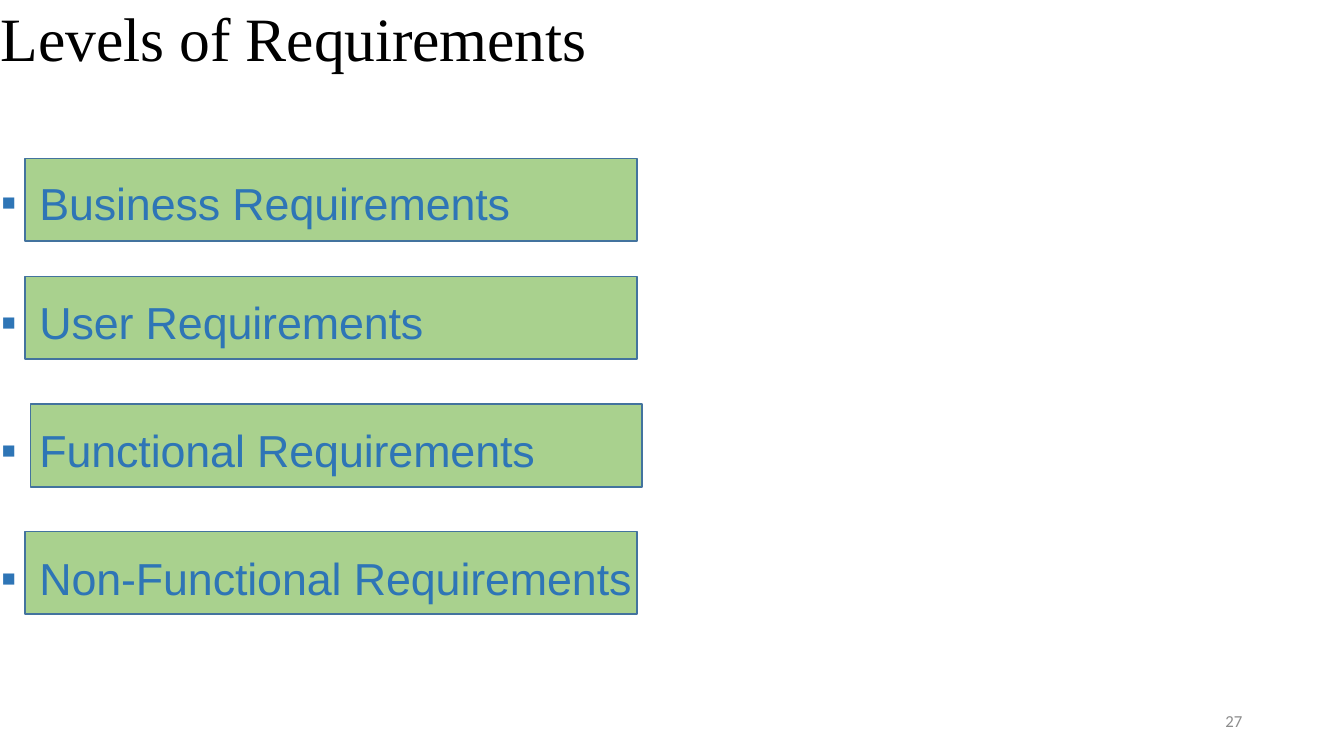
from lxml import etree
from pptx import Presentation
from pptx import util as u
from pptx.dml.color import RGBColor
from pptx.enum import shapes, text
from pptx.oxml.ns import qn

GREEN = RGBColor(0xA9, 0xD1, 0x8E)
OUTLINE = RGBColor(0x43, 0x73, 0x9E)
BLUE = RGBColor(0x2E, 0x75, 0xB6)
BLACK = RGBColor(0, 0, 0)
GRAY = RGBColor(0x8C, 0x8C, 0x8C)

presentation = Presentation()
presentation.slide_width = u.Inches(13.33)
presentation.slide_height = u.Inches(7.5)
slide = presentation.slides.add_slide(presentation.slide_layouts[6])


def add_text(left, top, width, height, lines, *, font, size, color, spacing=0,
             align=text.PP_ALIGN.LEFT, anchor=text.MSO_ANCHOR.TOP,
             margin=0, left_indent=0, hanging=0, bullet=None):
    """Add a text box; lines holds pairs of wording and space before in points."""
    box = slide.shapes.add_textbox(*map(u.Inches, (left, top, width, height)))
    frame = box.text_frame
    frame.word_wrap = True
    frame.vertical_anchor = anchor
    frame.margin_left = frame.margin_right = u.Inches(margin)
    frame.margin_top = frame.margin_bottom = u.Inches(margin / 2)
    for index, (wording, space_before) in enumerate(lines):
        paragraph = frame.paragraphs[0] if index == 0 else frame.add_paragraph()
        paragraph.alignment = align
        paragraph.space_before = u.Pt(space_before)
        run = paragraph.add_run()
        run.text = wording
        run.font.name = font
        run.font.size = u.Pt(size)
        run.font.color.rgb = color
        run.font._element.set("spc", str(round(spacing * 100)))
        properties = paragraph._p.get_or_add_pPr()
        properties.set("marL", str(u.Inches(left_indent)))
        properties.set("indent", str(u.Inches(-hanging)))
        if bullet:
            etree.SubElement(properties, qn("a:buFont"), typeface=font)
            etree.SubElement(properties, qn("a:buChar"), char=bullet)


# Green bars behind the levels
for left, top in [(0.25, 1.57), (0.25, 2.74), (0.3, 4.01), (0.25, 5.27)]:
    bar = slide.shapes.add_shape(
        shapes.MSO_SHAPE.RECTANGLE, u.Inches(left), u.Inches(top),
        u.Inches(6.07), u.Inches(0.82))
    bar.shadow.inherit = False
    bar.fill.solid()
    bar.fill.fore_color.rgb = GREEN
    bar.line.color.rgb = OUTLINE
    bar.line.width = u.Pt(1)

# Requirement levels
levels = [
    ("Business Requirements", 0),
    ("User Requirements", 46.8),
    ("Functional Requirements", 53.2),
    ("Non-Functional Requirements", 53.2),
]
add_text(0, 1.74, 7.74, 4.26, levels, font="Arial", size=32, color=BLUE,
         spacing=-0.1, left_indent=0.39, hanging=0.38, bullet="▪")

# Title
add_text(0, 0, 11.5, 0.74, [("Levels of Requirements", 0)],
         font="Times New Roman", size=44, color=BLACK, spacing=-0.1,
         anchor=text.MSO_ANCHOR.MIDDLE, left_indent=0.01)

# Page number
add_text(9.42, 6.95, 3, 0.4, [("27", 0)], font="Calibri", size=12, color=GRAY,
         align=text.PP_ALIGN.RIGHT, anchor=text.MSO_ANCHOR.MIDDLE, margin=0.1)

presentation.save("out.pptx")
